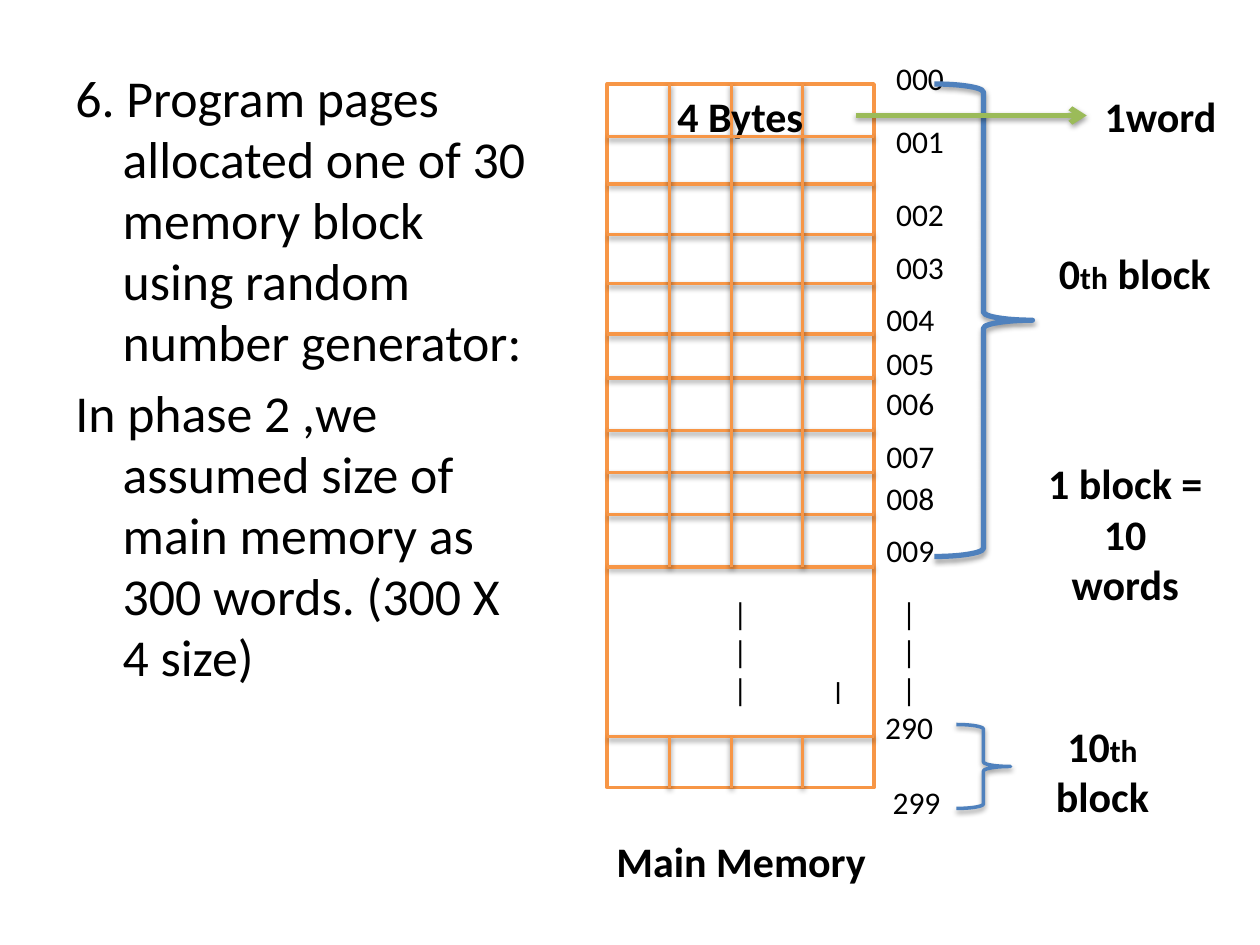
from typing import NamedTuple

from lxml.etree import SubElement
from pptx import Presentation
from pptx.dml.color import RGBColor
from pptx.enum.shapes import MSO_CONNECTOR, MSO_SHAPE
from pptx.enum.text import PP_ALIGN
from pptx.oxml.ns import qn
from pptx.util import Pt

ORANGE, BLUE, GREEN = "F79646", "4F81BD", "9BBB59"
BLACK, WHITE = "000000", "FFFFFF"
LEFT, RIGHT, TOP, BOTTOM = 347, 499.5, 48, 450
COLUMNS = (382.5, 418, 458.5)
ROWS = (78, 105, 134, 162, 191, 216, 246, 270, 294, 324)
LAST_ROW = 421


class Run(NamedTuple):
    text: str
    size: float = 24
    bold: bool = True


class Label(NamedTuple):
    x: float
    y: float
    w: float
    h: float
    paragraphs: list[list[Run]]
    align: PP_ALIGN = PP_ALIGN.CENTER
    inset: float = 7.2


class Brace(NamedTuple):
    x: float
    y: float
    w: float
    h: float
    weight: float


def rgb(value: str) -> RGBColor:
    return RGBColor.from_string(value)


def set_attrs(obj, **values) -> None:
    for name, value in values.items():
        setattr(obj, name, value)


def add_shadow(sp, alpha: int = 38, distance: float = 1.6) -> None:
    """Cast a soft black shadow straight down."""
    effects = SubElement(sp._element.spPr, qn("a:effectLst"))
    shadow = SubElement(effects, qn("a:outerShdw"), blurRad=str(Pt(3.1)),
                        dist=str(Pt(distance)), dir="5400000", rotWithShape="0")
    color = SubElement(shadow, qn("a:srgbClr"), val=BLACK)
    SubElement(color, qn("a:alpha"), val=str(alpha * 1000))


def add_line(s, x1: float, y1: float, x2: float, y2: float,
             color: str = ORANGE, weight: float = 2, arrow: bool = False) -> None:
    sp = s.shapes.add_connector(MSO_CONNECTOR.STRAIGHT, Pt(x1), Pt(y1), Pt(x2), Pt(y2))
    sp.line.color.rgb = rgb(color)
    sp.line.width = Pt(weight)
    if arrow:
        SubElement(sp.line._get_or_add_ln(), qn("a:tailEnd"), type="arrow")
    add_shadow(sp)


def add_brace(s, brace: Brace) -> None:
    sp = s.shapes.add_shape(MSO_SHAPE.RIGHT_BRACE, *map(Pt, brace[:4]))
    sp.fill.background()
    sp.line.color.rgb = rgb(BLUE)
    sp.line.width = Pt(brace.weight)
    add_shadow(sp)


def add_run(p, run: Run) -> None:
    r = p.add_run()
    r.text = run.text
    set_attrs(r.font, name="Calibri", size=Pt(run.size), bold=run.bold)
    r.font.color.rgb = rgb(BLACK)


def add_label(s, label: Label):
    tf = s.shapes.add_textbox(*map(Pt, label[:4])).text_frame
    set_attrs(tf, word_wrap=True, margin_left=Pt(label.inset))
    for i, runs in enumerate(label.paragraphs):
        p = tf.add_paragraph() if i else tf.paragraphs[0]
        p.alignment = label.align
        for run in runs:
            add_run(p, run)
    return tf


def add_body(s) -> None:
    texts = ("6. Program pages allocated one of 30 memory block using random number generator:",
             "In phase 2 ,we assumed size of main memory as 300 words. (300 X 4 size)")
    tf = add_label(s, Label(36, 36, 276, 446, [[Run(t, 29.6, False)] for t in texts],
                            PP_ALIGN.LEFT))
    for p in tf.paragraphs:
        set_attrs(p, space_before=Pt(5.9), line_spacing=0.98)
        p._p.get_or_add_pPr().set("marL", str(Pt(27)))
        p._p.get_or_add_pPr().set("indent", str(Pt(-27)))


def add_memory(s) -> None:
    sp = s.shapes.add_shape(MSO_SHAPE.RECTANGLE, Pt(LEFT), Pt(TOP),
                            Pt(RIGHT - LEFT), Pt(BOTTOM - TOP))
    sp.shadow.inherit = False
    sp.fill.solid()
    sp.fill.fore_color.rgb = rgb(WHITE)
    sp.line.color.rgb = rgb(ORANGE)
    sp.line.width = Pt(2)
    for y in (*ROWS[1:], LAST_ROW):
        add_line(s, LEFT, y, RIGHT, y)
    for x in COLUMNS:
        add_line(s, x, TOP, x, ROWS[-1])
        add_line(s, x, LAST_ROW, x, BOTTOM)


def address(x: float, y: float, text: str) -> Label:
    return Label(x, y, 45, 29, [[Run(text, 18, False)]], PP_ALIGN.LEFT)


def main() -> None:
    prs = Presentation()
    set_attrs(prs, slide_width=Pt(720), slide_height=Pt(540))
    s = prs.slides.add_slide(prs.slide_layouts[6])
    add_body(s)
    add_memory(s)

    address_tops = (30, 66, 108, 138, 168, 193, 216, 246, 270, 300)
    labels = [address(505 if i < 4 else 499.5, y, f"{i:03}")
              for i, y in enumerate(address_tops)]
    bars = [[Run("|", 18, False)]] * 3
    labels += [
        address(503, 444, "299"),
        Label(357, 336, 132, 73, bars),
        Label(474, 336, 91, 94, bars + [[Run("290", 18, False)]]),
        Label(357, 48, 132, 36, [[Run("4 Bytes")]]),
        Label(342, 474, 163, 36, [[Run("Main Memory")]]),
        Label(590.5, 258, 105, 94, [[Run("1 block = 10 words")]]),
        Label(602.5, 48, 105, 36, [[Run("1word")]], inset=23.5),
        Label(460, 383, 38, 29, [[Run("|", 14)]]),
        Label(577.5, 408, 105, 66, [[Run("10"), Run("th ", 18), Run("block")]]),
        Label(596, 138, 105, 36, [[Run("0"), Run("th", 18), Run(" block")]]),
    ]
    for label in labels:
        add_label(s, label)

    add_line(s, LEFT, ROWS[0], RIGHT, ROWS[0])
    add_brace(s, Brace(534, 48, 56, 270, 3))
    add_line(s, 489, 66, 621, 66, GREEN, 3, arrow=True)
    add_brace(s, Brace(546.5, 414, 31, 48, 2))
    prs.save("out.pptx")


if __name__ == "__main__":
    main()
